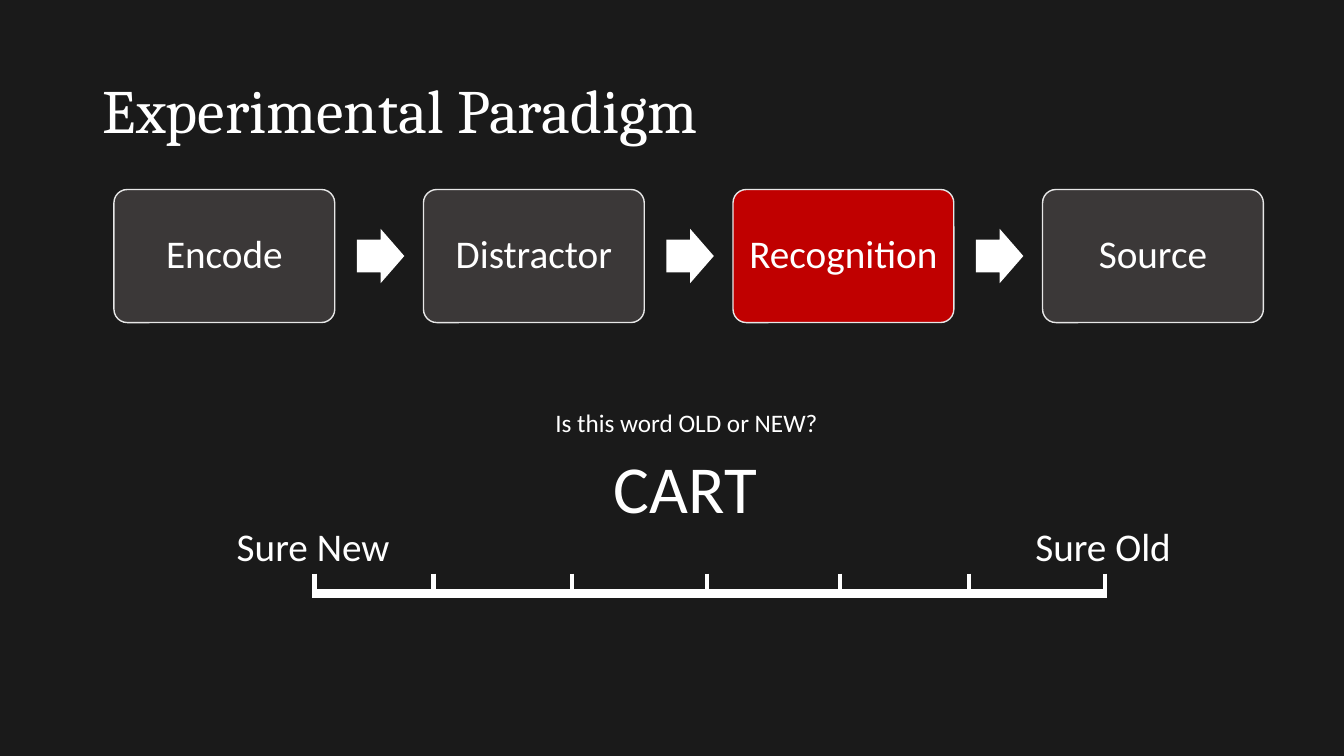
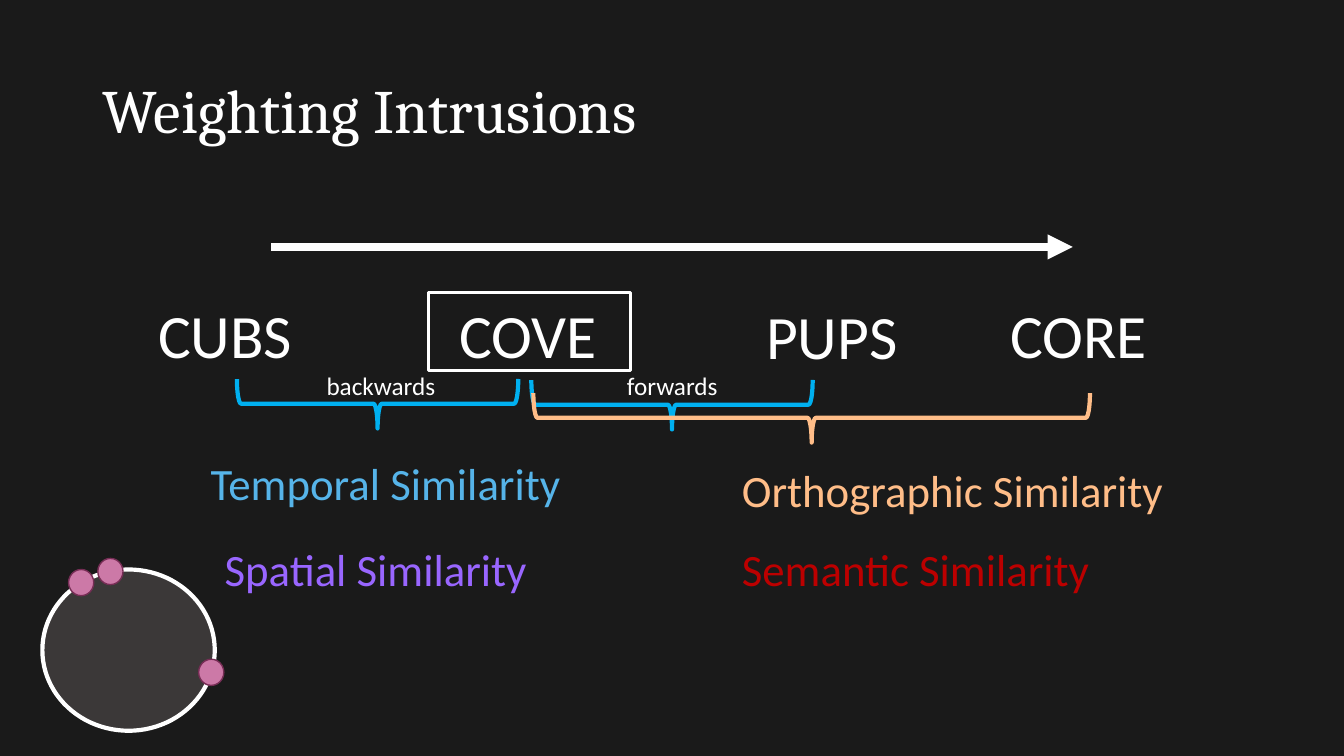
from dataclasses import dataclass

from lxml.etree import SubElement
from pptx import Presentation
from pptx.dml.color import RGBColor
from pptx.enum.shapes import MSO_CONNECTOR, MSO_SHAPE
from pptx.enum.text import MSO_ANCHOR, PP_ALIGN
from pptx.oxml.ns import qn
from pptx.shapes.autoshape import Shape
from pptx.slide import Slide
from pptx.text.text import TextFrame
from pptx.util import Inches, Pt

COLORS = {
    "background": "1A1A1A",
    "white": "FFFFFF",
    "panel": "3B3838",
    "panel_line": "E7E7E7",
    "active": "C00000",
    "brace": "00B0F0",
    "temporal": "56B4E9",
    "orthographic": "FFBD88",
    "spatial": "9966FF",
    "semantic": "BC0000",
    "dot": "CC79A7",
    "dot_line": "762D55",
}
TITLE_FONT = "Cambria"
BODY_FONT = "Calibri"
TITLE_ONLY = 5


@dataclass(frozen=True)
class Rect:
    left: float
    top: float
    width: float
    height: float


@dataclass(frozen=True)
class Label:
    text: str
    rect: Rect
    size: int
    color: str = "white"


@dataclass(frozen=True)
class Brace:
    left: float
    top: float
    span: float
    color: str


STAGES = ("Encode", "Distractor", "Recognition", "Source")
ACTIVE_STAGE = "Recognition"
STAGE_PITCH = 3.07
FIRST_STAGE = Rect(1.13, 1.88, 2.19, 1.32)
FIRST_ARROW = Rect(3.54, 2.27, 0.47, 0.54)

SCALE_Y = 5.89
TICK_TOP, TICK_BOTTOM = 5.69, 5.93
TICKS = (3.12, 4.3, 5.67, 7.01, 8.33, 9.61, 10.96)
TEST_LABELS = (
    Label("CART", Rect(5.99, 4.38, 1.64, 0.91), 48),
    Label("Is this word OLD or NEW?", Rect(5.41, 3.99, 2.83, 0.4), 18),
    Label("Sure New", Rect(2.25, 5.13, 1.73, 0.57), 28),
    Label("Sure Old", Rect(10.17, 5.13, 1.56, 0.57), 28),
)

INTRUSION_LABELS = (
    Label("CUBS", Rect(1.47, 2.9, 1.55, 0.84), 44),
    Label("COVE", Rect(4.46, 2.9, 1.58, 0.84), 44),
    Label("PUPS", Rect(7.5, 2.91, 1.52, 0.84), 44),
    Label("CORE", Rect(9.92, 2.9, 1.57, 0.84), 44),
    Label("Temporal Similarity", Rect(1.99, 4.47, 3.71, 0.64), 32, "temporal"),
    Label("Orthographic Similarity", Rect(7.26, 4.54, 4.43, 0.64), 32, "orthographic"),
    Label("Spatial Similarity", Rect(2.13, 5.33, 3.24, 0.64), 32, "spatial"),
    Label("Semantic Similarity", Rect(7.26, 5.33, 3.69, 0.64), 32, "semantic"),
    Label("backwards", Rect(3.14, 3.62, 1.29, 0.4), 18),
    Label("forwards", Rect(6.12, 3.62, 1.11, 0.4), 18),
)
BRACE_DEPTH = 0.49
BRACES = (
    Brace(2.35, 3.76, 2.79, "brace"),
    Brace(5.27, 3.77, 2.79, "brace"),
    Brace(5.29, 3.9, 5.52, "orthographic"),
)
TARGET_FRAME = Rect(4.25, 2.9, 2, 0.78)
CIRCLE = Rect(0.42, 5.65, 1.71, 1.6)
DOTS = ((0.68, 5.65), (0.97, 5.54), (1.97, 6.54))


def rgb(color: str) -> RGBColor:
    return RGBColor.from_string(COLORS[color])


def lengths(rect: Rect) -> tuple[Inches, Inches, Inches, Inches]:
    return Inches(rect.left), Inches(rect.top), Inches(rect.width), Inches(rect.height)


def write(frame: TextFrame, text: str, size: int, color: str = "white",
          font: str = BODY_FONT, align: PP_ALIGN = PP_ALIGN.LEFT,
          spacing: float = 1.0) -> None:
    frame.text = text
    para = frame.paragraphs[0]
    para.alignment = align
    para.line_spacing = spacing
    span = para.runs[0]
    span.font.name = font
    span.font.size = Pt(size)
    span.font.color.rgb = rgb(color)


def add_page(deck: Presentation, title: str) -> Slide:
    page = deck.slides.add_slide(deck.slide_layouts[TITLE_ONLY])
    box = page.shapes.title
    box.left, box.top, box.width, box.height = lengths(Rect(0.92, 0.4, 11.5, 1.45))
    box.text_frame.vertical_anchor = MSO_ANCHOR.MIDDLE
    write(box.text_frame, title, 44, font=TITLE_FONT, spacing=0.9)
    return page


def add_label(page: Slide, label: Label) -> None:
    box = page.shapes.add_textbox(*lengths(label.rect))
    box.text_frame.word_wrap = False
    write(box.text_frame, label.text, label.size, label.color)


def add_figure(page: Slide, kind: MSO_SHAPE, rect: Rect, fill: str | None = None,
               line: str | None = None, width: float = 1) -> Shape:
    """Add a preset shape; no fill or line colour means none is drawn."""
    figure = page.shapes.add_shape(kind, *lengths(rect))
    figure.shadow.inherit = False
    if fill:
        figure.fill.solid()
        figure.fill.fore_color.rgb = rgb(fill)
    else:
        figure.fill.background()
    if line:
        figure.line.color.rgb = rgb(line)
        figure.line.width = Pt(width)
    else:
        figure.line.fill.background()
    return figure


def add_line(page: Slide, start: tuple[float, float], end: tuple[float, float],
             width: float, arrow: bool = False) -> None:
    line = page.shapes.add_connector(
        MSO_CONNECTOR.STRAIGHT, *(Inches(value) for value in (*start, *end)))
    line.line.color.rgb = rgb("white")
    line.line.width = Pt(width)
    properties = line._element.spPr
    if arrow:
        SubElement(properties.find(qn("a:ln")), qn("a:tailEnd"), type="triangle")
    SubElement(properties, qn("a:effectLst"))


def add_stage(page: Slide, name: str, rect: Rect) -> None:
    fill = "active" if name == ACTIVE_STAGE else "panel"
    stage = add_figure(page, MSO_SHAPE.ROUNDED_RECTANGLE, rect, fill, "panel_line")
    stage.adjustments[0] = 0.1
    frame = stage.text_frame
    frame.vertical_anchor = MSO_ANCHOR.MIDDLE
    write(frame, name, 28, align=PP_ALIGN.CENTER, spacing=0.9)


def add_brace(page: Slide, brace: Brace) -> None:
    """Turn a left brace to point down, covering the span from its left end."""
    rect = Rect(brace.left + (brace.span - BRACE_DEPTH) / 2,
                brace.top - (brace.span - BRACE_DEPTH) / 2, BRACE_DEPTH, brace.span)
    figure = add_figure(page, MSO_SHAPE.LEFT_BRACE, rect, line=brace.color, width=3)
    figure.rotation = 270


def shifted(rect: Rect, distance: float) -> Rect:
    return Rect(rect.left + distance, rect.top, rect.width, rect.height)


def build_paradigm(deck: Presentation) -> None:
    page = add_page(deck, "Experimental Paradigm")
    for index, name in enumerate(STAGES):
        offset = index * STAGE_PITCH
        add_stage(page, name, shifted(FIRST_STAGE, offset))
        if index < len(STAGES) - 1:
            arrow = add_figure(page, MSO_SHAPE.RIGHT_ARROW,
                               shifted(FIRST_ARROW, offset), "white")
            arrow.adjustments[0] = 0.6
    for label in TEST_LABELS:
        add_label(page, label)
    add_line(page, (3.1, SCALE_Y), (10.95, SCALE_Y), 6)
    for tick in TICKS:
        add_line(page, (tick, TICK_TOP), (tick, TICK_BOTTOM), 3)


def build_intrusions(deck: Presentation) -> None:
    page = add_page(deck, "Weighting Intrusions")
    add_line(page, (2.69, 2.45), (10.64, 2.45), 6, arrow=True)
    for brace in BRACES:
        add_brace(page, brace)
    for label in INTRUSION_LABELS:
        add_label(page, label)
    add_figure(page, MSO_SHAPE.OVAL, CIRCLE, "panel", "white", 3)
    for left, top in DOTS:
        add_figure(page, MSO_SHAPE.OVAL, Rect(left, top, 0.25, 0.26), "dot", "dot_line")
    add_figure(page, MSO_SHAPE.RECTANGLE, TARGET_FRAME, line="white", width=2.25)


def main() -> None:
    deck = Presentation()
    deck.slide_width, deck.slide_height = Inches(13.33), Inches(7.5)
    backdrop = deck.slide_master.background.fill
    backdrop.solid()
    backdrop.fore_color.rgb = rgb("background")
    build_paradigm(deck)
    build_intrusions(deck)
    deck.save("out.pptx")


if __name__ == "__main__":
    main()
